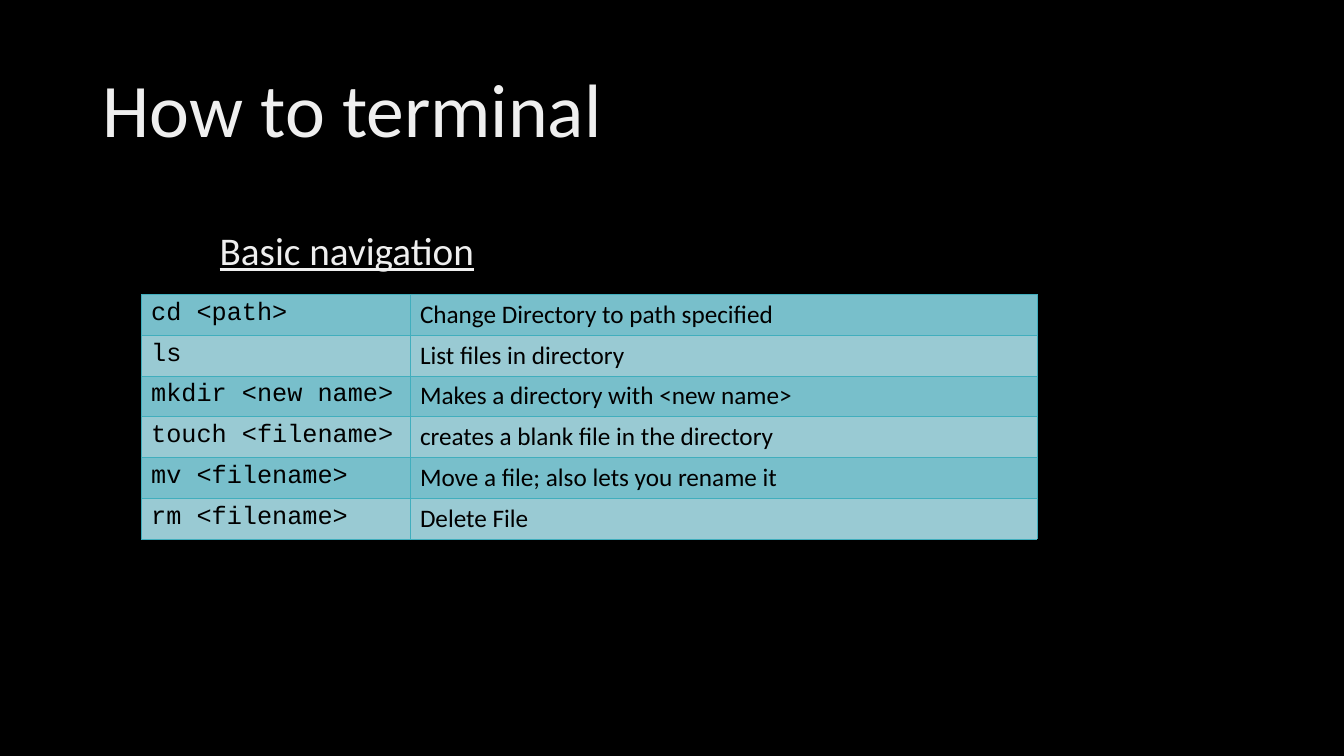
from dataclasses import dataclass

from lxml import etree
from pptx import Presentation
from pptx import util as u
from pptx.dml.color import RGBColor
from pptx.enum import text
from pptx.oxml import ns


@dataclass(frozen=True)
class Theme:
    back: str = "000000"
    light: str = "EFEFEF"
    ink: str = "000000"
    edge: str = "41AEBD"
    bands: tuple = ("78BFCB", "99CAD3")
    sans: str = "Calibri"
    mono: str = "Courier New"
    title: int = 54
    head: int = 28
    cell: int = 18


THEME = Theme()
WIDE, HIGH = 13.33, 7.5
COMMANDS = [
    ("cd <path>", "Change Directory to path specified"),
    ("ls", "List files in directory"),
    ("mkdir <new name>", "Makes a directory with <new name>"),
    ("touch <filename>", "creates a blank file in the directory"),
    ("mv <filename>", "Move a file; also lets you rename it"),
    ("rm <filename>", "Delete File"),
]


def inches(box):
    return [u.Inches(v) for v in box]


def write(frame, words, face, size, color, line=True):
    """Fill a text frame with one styled paragraph and return its font."""
    frame.text = words
    para = frame.paragraphs[0]
    para.alignment = text.PP_ALIGN.LEFT
    if line:
        para.line_spacing = 0.9
    font = para.runs[0].font
    font.name, font.size = face, u.Pt(size)
    font.color.rgb = RGBColor.from_string(color)
    return font


def add_title(slide, box, words):
    title = slide.shapes.title
    title.left, title.top, title.width, title.height = inches(box)
    frame = title.text_frame
    frame.vertical_anchor = text.MSO_ANCHOR.MIDDLE
    write(frame, words, THEME.sans, THEME.title, THEME.light)


def add_head(slide, box, words):
    frame = slide.shapes.add_textbox(*inches(box)).text_frame
    frame.word_wrap = True
    font = write(frame, words, THEME.sans, THEME.head, THEME.light)
    font.underline = True


def add_edges(cell):
    """Draw thin lines on all four sides; they must precede the fill."""
    props = cell._tc.get_or_add_tcPr()
    for at, side in enumerate(("lnL", "lnR", "lnT", "lnB")):
        line = etree.Element(ns.qn("a:" + side), w=str(u.Pt(0.5)))
        fill = etree.SubElement(line, ns.qn("a:solidFill"))
        etree.SubElement(fill, ns.qn("a:srgbClr"), val=THEME.edge)
        props.insert(at, line)


def add_grid(slide, box, rows, share):
    """Place a two-column table; share is the first column's part."""
    left, top, width, height = inches(box)
    grid = slide.shapes.add_table(len(rows), 2, left, top, width, height).table
    grid.first_row = False
    grid.columns[0].width = int(width * share)
    grid.columns[1].width = width - grid.columns[0].width
    for r, row in enumerate(rows):
        for c, (words, face) in enumerate(zip(row, (THEME.mono, THEME.sans))):
            cell = grid.cell(r, c)
            cell.fill.solid()
            cell.fill.fore_color.rgb = RGBColor.from_string(THEME.bands[r % 2])
            add_edges(cell)
            write(cell.text_frame, words, face, THEME.cell, THEME.ink, False)


def add_guide(deck):
    slide = deck.slides.add_slide(deck.slide_layouts[5])
    fill = slide.background.fill
    fill.solid()
    fill.fore_color.rgb = RGBColor.from_string(THEME.back)
    add_title(slide, (0.92, 0.4, 11.5, 1.45), "How to terminal")
    left, top, width = 1.4, 2.92, WIDE * 2 / 3
    add_head(slide, (left + 0.68, top - 0.67, width - 0.68, 0.55),
             "Basic navigation")
    add_grid(slide, (left, top, width, 2.43), COMMANDS, 0.3)


def main():
    deck = Presentation()
    deck.slide_width, deck.slide_height = inches((WIDE, HIGH))
    add_guide(deck)
    deck.save("out.pptx")


if __name__ == "__main__":
    main()
